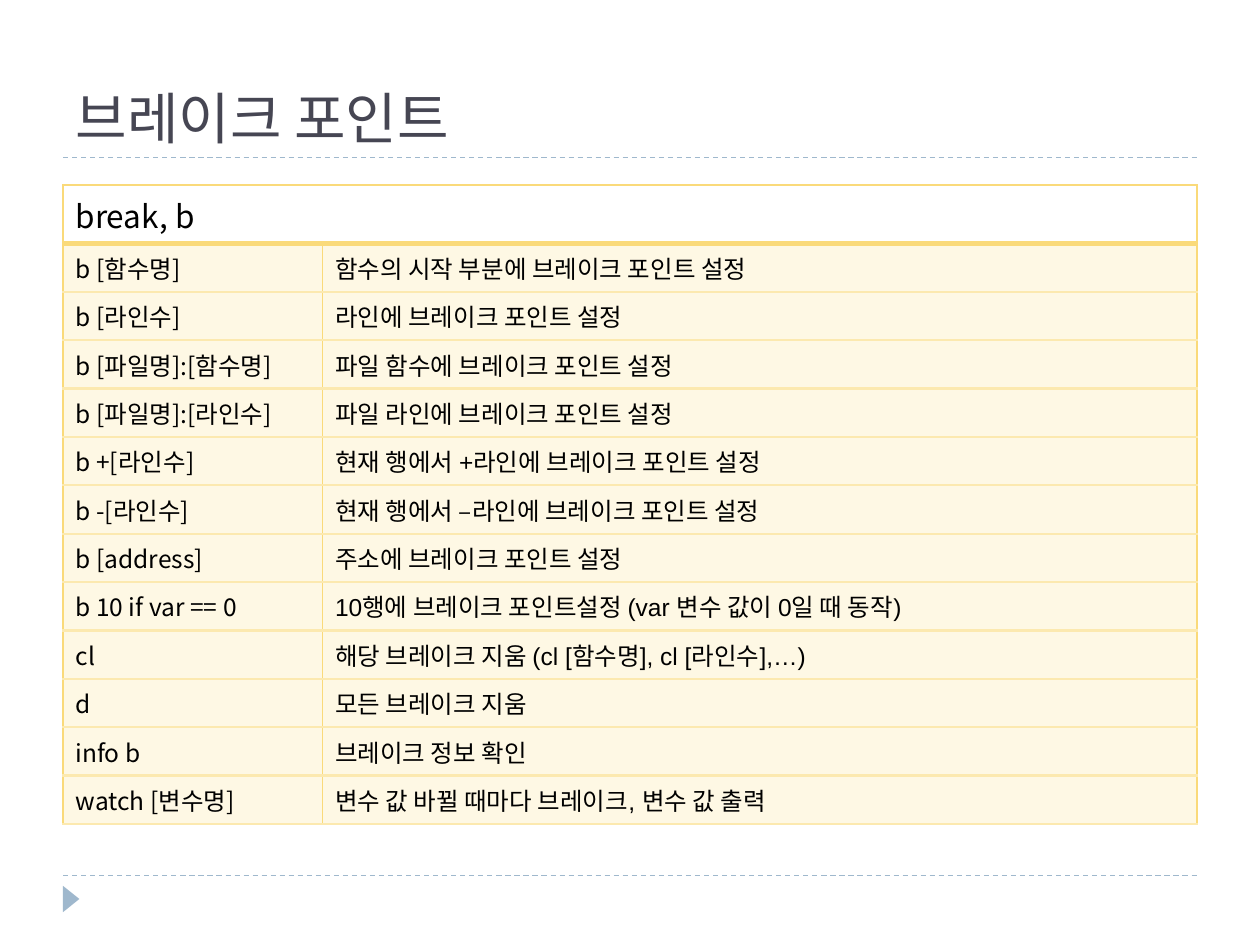
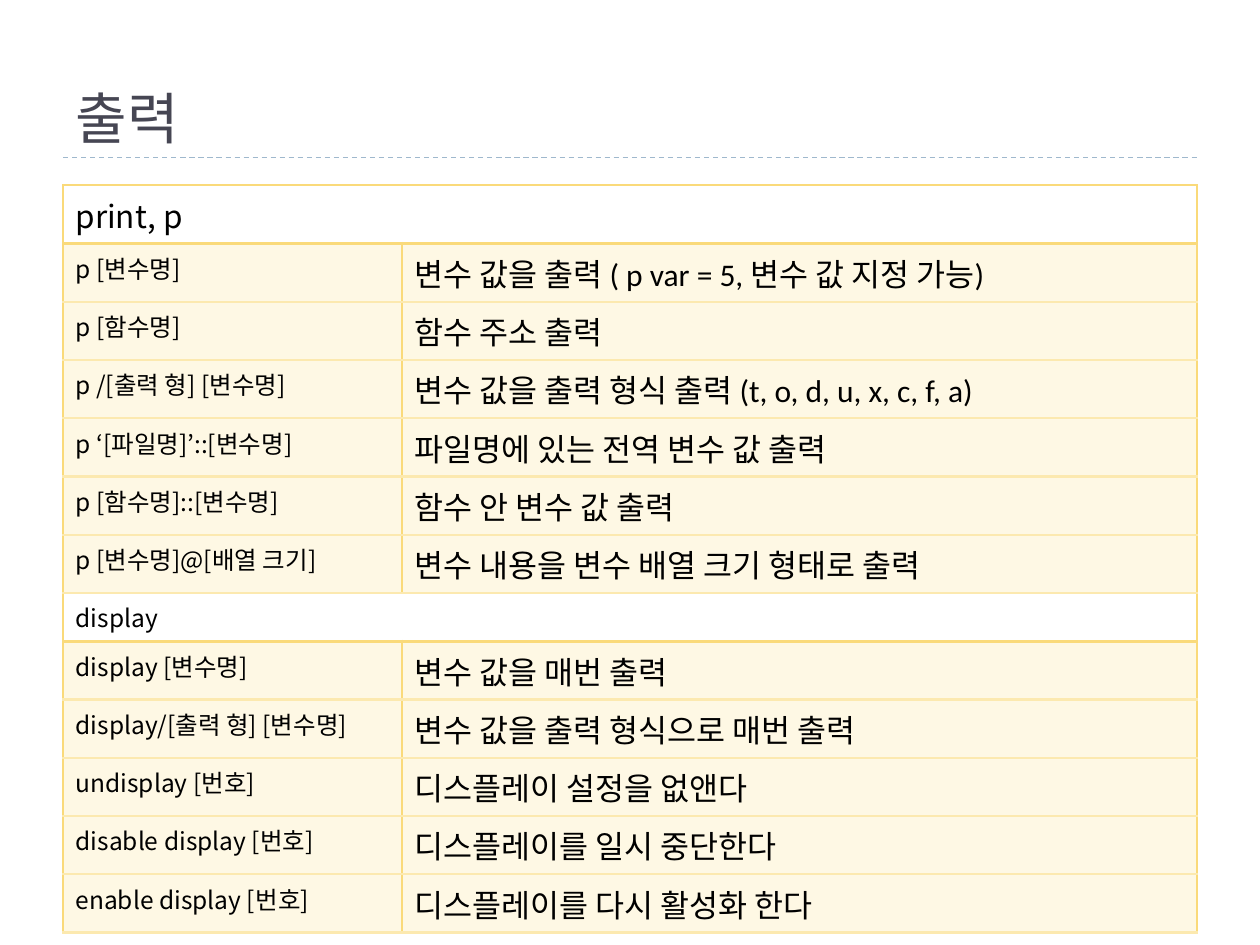
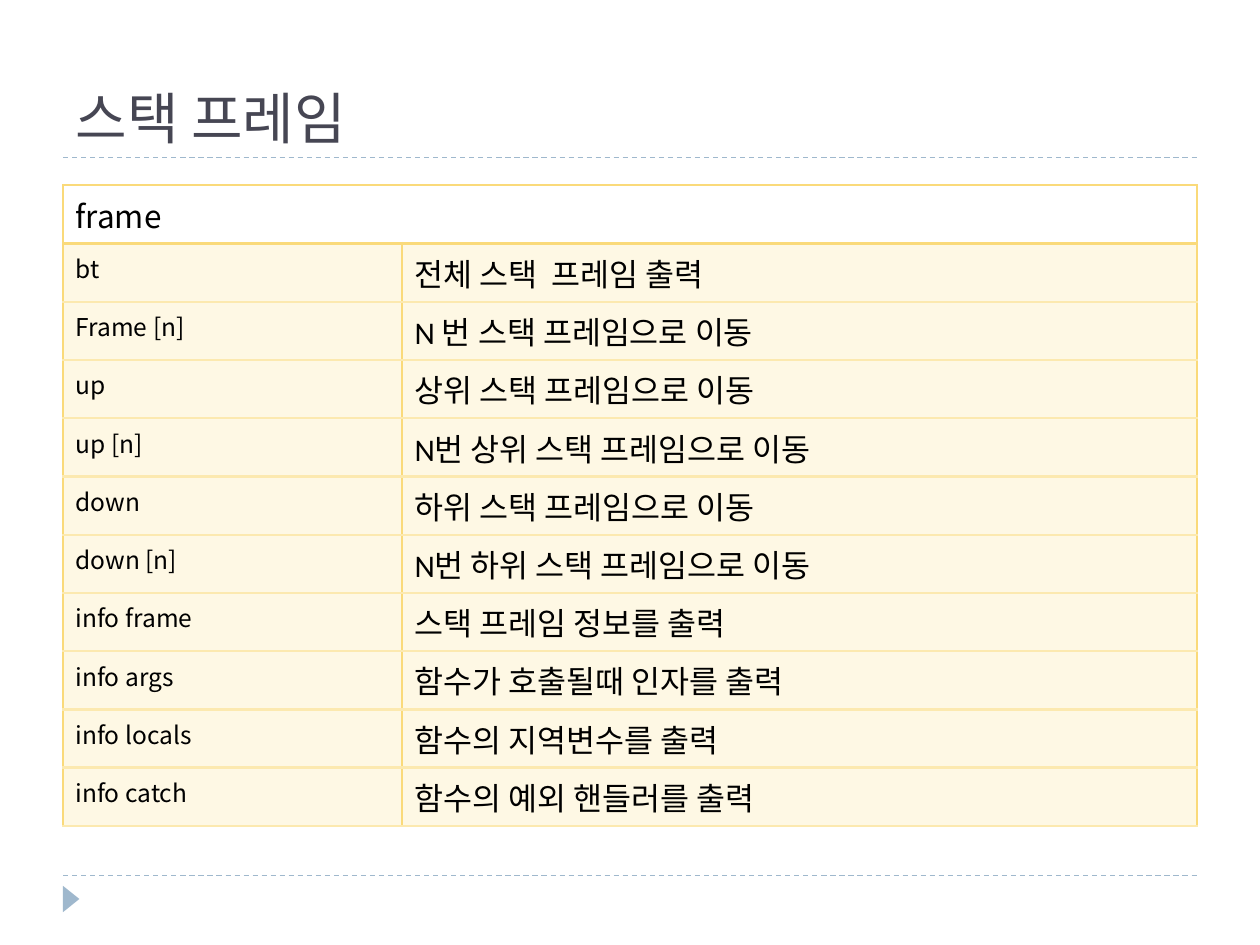
from dataclasses import dataclass

import pptx
import pptx.dml.color
import pptx.enum.dml
import pptx.enum.shapes
import pptx.enum.text
import pptx.oxml
import pptx.oxml.ns
import pptx.util

Pt = pptx.util.Pt

# Shared look
BASE_FONT = "Noto Sans CJK KR"
TITLE_COLOUR, TEXT_COLOUR = "464653", "000000"
ACCENT, GOLD, PALE_GOLD = "9FB8CD", "FADA7A", "FCE9AF"
CREAM, WHITE = "FEF8E4", "FFFFFF"
LEFT, WIDTH = 36, 648
TITLE_TOP, TITLE_RULE, FOOTER_RULE = 12.24, 90, 500.4
TABLE_TOP, ROW_HEIGHT = 105.84, 27.6
COMMAND_SIZE = 14


@dataclass(frozen=True)
class Section:
    heading: str
    heading_size: float
    commands: list[tuple[str, str]]


@dataclass(frozen=True)
class CommandSlide:
    title: str
    command_width: float
    meaning_font: str
    meaning_size: float
    heading_rule: float
    sections: list[Section]


@dataclass(frozen=True)
class Border:
    colour: str
    width: float


SIDE = Border(GOLD, 1)
ROW_RULE = Border(PALE_GOLD, 1.5)


# Content
COMMAND_SLIDES = [
    CommandSlide("브레이크 포인트", 148.3, "Arial", 14, 3, [
        Section("break, b", 18, [
            ("b [함수명]", "함수의 시작 부분에 브레이크 포인트 설정"),
            ("b [라인수]", "라인에 브레이크 포인트 설정"),
            ("b [파일명]:[함수명]", "파일 함수에 브레이크 포인트 설정"),
            ("b [파일명]:[라인수]", "파일 라인에 브레이크 포인트 설정"),
            ("b +[라인수]", "현재 행에서 +라인에 브레이크 포인트 설정"),
            ("b -[라인수]", "현재 행에서 –라인에 브레이크 포인트 설정"),
            ("b [address]", "주소에 브레이크 포인트 설정"),
            ("b 10 if var == 0", "10행에 브레이크 포인트설정 (var 변수 값이 0일 때 동작)"),
            ("cl", "해당 브레이크 지움 (cl [함수명], cl [라인수],…)"),
            ("d", "모든 브레이크 지움"),
            ("info b", "브레이크 정보 확인"),
            ("watch [변수명]", "변수 값 바뀔 때마다 브레이크, 변수 값 출력"),
        ]),
    ]),
    CommandSlide("출력", 193.7, "Calibri", 18, 2.25, [
        Section("print, p", 18, [
            ("p [변수명]", "변수 값을 출력 ( p var = 5, 변수 값 지정 가능)"),
            ("p [함수명]", "함수 주소 출력"),
            ("p /[출력 형] [변수명]", "변수 값을 출력 형식 출력 (t, o, d, u, x, c, f, a)"),
            ("p ‘[파일명]’::[변수명]", "파일명에 있는 전역 변수 값 출력"),
            ("p [함수명]::[변수명]", "함수 안 변수 값 출력"),
            ("p [변수명]@[배열 크기]", "변수 내용을 변수 배열 크기 형태로 출력"),
        ]),
        Section("display", 14, [
            ("display [변수명]", "변수 값을 매번 출력"),
            ("display/[출력 형] [변수명]", "변수 값을 출력 형식으로 매번 출력"),
            ("undisplay [번호]", "디스플레이 설정을 없앤다"),
            ("disable display [번호]", "디스플레이를 일시 중단한다"),
            ("enable display [번호]", "디스플레이를 다시 활성화 한다"),
        ]),
    ]),
    CommandSlide("스택 프레임", 193.7, "Calibri", 18, 2.25, [
        Section("frame", 18, [
            ("bt", "전체 스택  프레임 출력"),
            ("Frame [n]", "N 번 스택 프레임으로 이동"),
            ("up", "상위 스택 프레임으로 이동"),
            ("up [n]", "N번 상위 스택 프레임으로 이동"),
            ("down", "하위 스택 프레임으로 이동"),
            ("down [n]", "N번 하위 스택 프레임으로 이동"),
            ("info frame", "스택 프레임 정보를 출력"),
            ("info args", "함수가 호출될때 인자를 출력"),
            ("info locals", "함수의 지역변수를 출력"),
            ("info catch", "함수의 예외 핸들러를 출력"),
        ]),
    ]),
]


# Formatting helpers
def rgb(colour: str) -> pptx.dml.color.RGBColor:
    return pptx.dml.color.RGBColor.from_string(colour)


def add_element(parent, xml_name: str, **attributes: str):
    element = pptx.oxml.parse_xml(f"<{xml_name} {pptx.oxml.ns.nsdecls('a')}/>")
    for name, value in attributes.items():
        element.set(name, value)
    parent.append(element)
    return element


def write_text(text_frame, text: str, size: float, font_name: str, colour: str) -> None:
    text_frame.text = text
    paragraph = text_frame.paragraphs[0]
    paragraph.alignment = pptx.enum.text.PP_ALIGN.LEFT
    font = paragraph.font
    font.size, font.name, font.bold = Pt(size), font_name, False
    font.color.rgb = rgb(colour)
    # Korean letters always use the base font
    properties = paragraph._p.get_or_add_pPr().get_or_add_defRPr()
    add_element(properties, "a:ea", typeface=BASE_FONT)


def format_cell(cell, fill: str, top: Border, bottom: Border) -> None:
    properties = cell._tc.get_or_add_tcPr()
    borders = {"a:lnL": SIDE, "a:lnR": SIDE, "a:lnT": top, "a:lnB": bottom}
    for edge, border in borders.items():
        line = add_element(properties, edge, w=str(int(Pt(border.width))))
        add_element(add_element(line, "a:solidFill"), "a:srgbClr", val=border.colour)
    cell.fill.solid()
    cell.fill.fore_color.rgb = rgb(fill)


# Slide parts
def add_rule(slide, top: float) -> None:
    rule = slide.shapes.add_connector(
        pptx.enum.shapes.MSO_CONNECTOR.STRAIGHT,
        Pt(LEFT), Pt(top), Pt(LEFT + WIDTH), Pt(top))
    rule.line.color.rgb = rgb(ACCENT)
    rule.line.width = Pt(0.75)
    rule.line.dash_style = pptx.enum.dml.MSO_LINE.DASH
    add_element(rule._element.spPr, "a:effectLst")


def add_frame(slide) -> None:
    add_rule(slide, FOOTER_RULE)
    add_rule(slide, TITLE_RULE)
    marker = slide.shapes.add_shape(
        pptx.enum.shapes.MSO_SHAPE.ISOSCELES_TRIANGLE,
        Pt(33.1), Pt(509), Pt(15.1), Pt(9.4))
    marker.rotation = 90
    marker.shadow.inherit = False
    marker.fill.solid()
    marker.fill.fore_color.rgb = rgb(ACCENT)
    marker.line.fill.background()


def set_title(slide, text: str) -> None:
    title = slide.shapes.title
    title.left, title.top = Pt(LEFT), Pt(TITLE_TOP)
    title.width, title.height = Pt(WIDTH), Pt(TITLE_RULE - TITLE_TOP)
    title.text_frame.vertical_anchor = pptx.enum.text.MSO_ANCHOR.BOTTOM
    write_text(title.text_frame, text, 32, BASE_FONT, TITLE_COLOUR)


def add_command_table(slide, content: CommandSlide) -> None:
    row_count = sum(1 + len(section.commands) for section in content.sections)
    table = slide.shapes.add_table(
        row_count, 2, Pt(LEFT), Pt(TABLE_TOP), Pt(WIDTH), Pt(row_count * ROW_HEIGHT)).table
    table.first_row = table.horz_banding = False
    table.columns[0].width = Pt(content.command_width)
    table.columns[1].width = Pt(WIDTH - content.command_width)
    for row in table.rows:
        row.height = Pt(ROW_HEIGHT)

    heading_rule = Border(GOLD, content.heading_rule)
    row_index = 0
    for section in content.sections:
        # Heading across both columns
        heading, covered = table.rows[row_index].cells
        heading.merge(covered)
        write_text(heading.text_frame, section.heading, section.heading_size,
                   BASE_FONT, TEXT_COLOUR)
        for cell in (heading, covered):
            format_cell(cell, WHITE, ROW_RULE if row_index else SIDE, heading_rule)
        row_index += 1

        # Commands and their meanings
        top = heading_rule
        for command, meaning in section.commands:
            command_cell, meaning_cell = table.rows[row_index].cells
            write_text(command_cell.text_frame, command, COMMAND_SIZE,
                       BASE_FONT, TEXT_COLOUR)
            write_text(meaning_cell.text_frame, meaning, content.meaning_size,
                       content.meaning_font, TEXT_COLOUR)
            for cell in (command_cell, meaning_cell):
                format_cell(cell, CREAM, top, ROW_RULE)
            top = ROW_RULE
            row_index += 1


def main() -> None:
    presentation = pptx.Presentation()
    presentation.slide_width, presentation.slide_height = Pt(720), Pt(540)
    title_only = presentation.slide_layouts[5]
    for content in COMMAND_SLIDES:
        slide = presentation.slides.add_slide(title_only)
        add_frame(slide)
        set_title(slide, content.title)
        add_command_table(slide, content)
    presentation.save("out.pptx")


if __name__ == "__main__":
    main()
